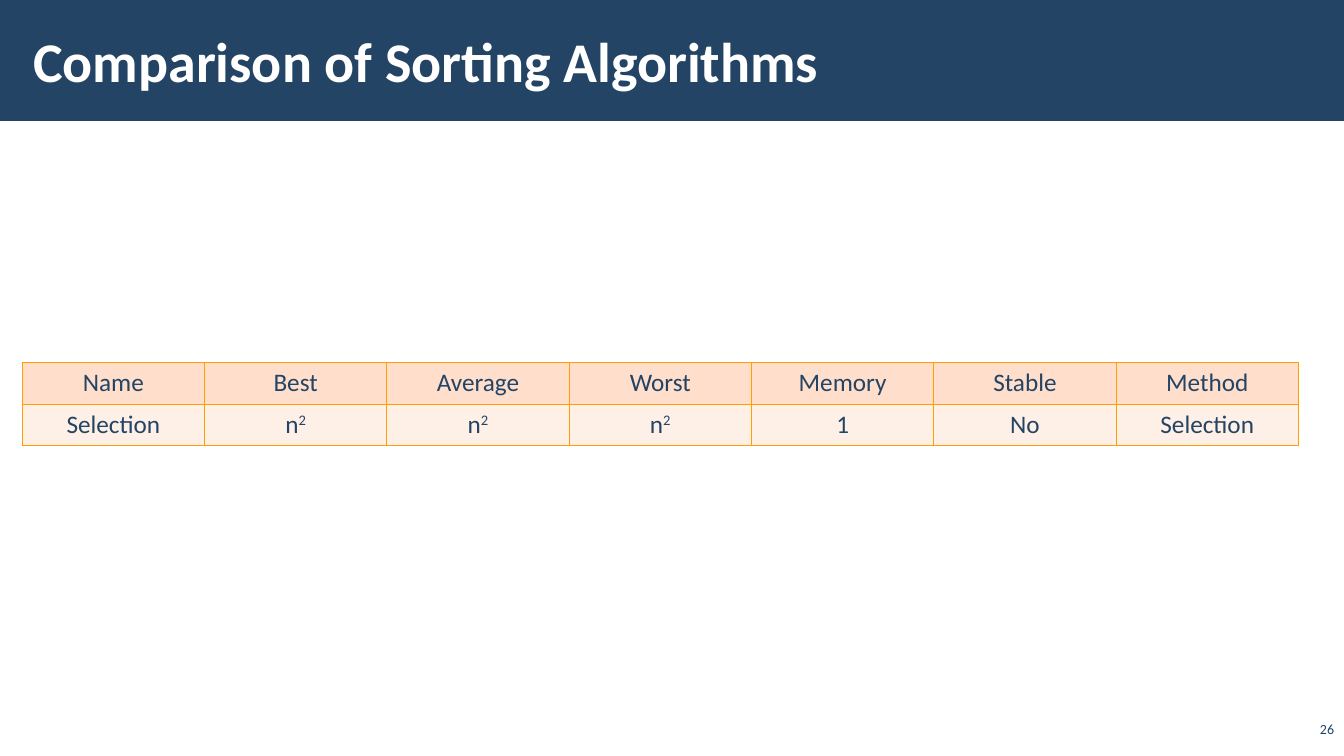
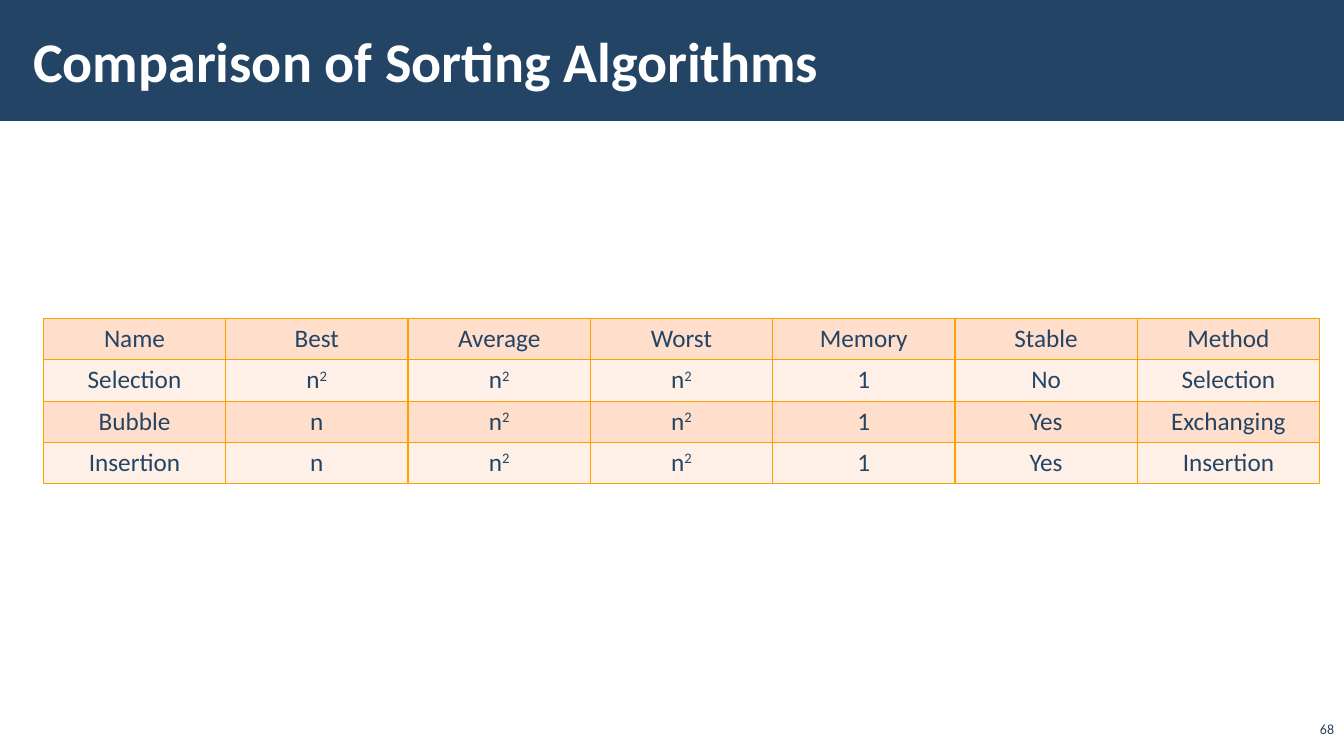
from lxml import etree
from pptx import Presentation
from pptx import util as u
from pptx.dml.color import RGBColor
from pptx.enum import shapes, text
from pptx.oxml import ns

COLORS = {
    "navy": "234465",
    "white": "FFFFFF",
    "peach": "FFDFCC",
    "pale_peach": "FFF0E7",
    "amber": "FFA000",
}
FONT = "Calibri"
TITLE_ONLY = 5
SLIDE_WIDTH, SLIDE_HEIGHT = u.Inches(13.33), u.Inches(7.5)
TABLE_WIDTH, ROW_HEIGHT = 12.66, 0.41

HEADER = ["Name", "Best", "Average", "Worst", "Memory", "Stable", "Method"]
SELECTION = ["Selection", "n^2", "n^2", "n^2", "1", "No", "Selection"]
BUBBLE = ["Bubble", "n", "n^2", "n^2", "1", "Yes", "Exchanging"]
INSERTION = ["Insertion", "n", "n^2", "n^2", "1", "Yes", "Insertion"]


def rgb(name):
    return RGBColor.from_string(COLORS[name])


def write_text(frame, content, size, color="navy", bold=False, align=text.PP_ALIGN.LEFT):
    """Fill the first paragraph; whatever follows a ^ is superscript."""
    paragraph = frame.paragraphs[0]
    paragraph.alignment = align
    for index, part in enumerate(content.split("^")):
        run = paragraph.add_run()
        run.text = part
        run.font.name = FONT
        run.font.size = u.Pt(size)
        run.font.bold = bold
        run.font.color.rgb = rgb(color)
        if index:
            run.font._element.set("baseline", "30000")


def set_borders(cell, color, width):
    properties = cell._tc.get_or_add_tcPr()
    for index, side in enumerate(("lnL", "lnR", "lnT", "lnB")):
        line = etree.Element(ns.qn(f"a:{side}"), w=str(u.Pt(width)))
        fill = etree.SubElement(line, ns.qn("a:solidFill"))
        etree.SubElement(fill, ns.qn("a:srgbClr"), val=COLORS[color])
        properties.insert(index, line)


class Deck:
    def __init__(self):
        self.presentation = Presentation()
        self.presentation.slide_width = SLIDE_WIDTH
        self.presentation.slide_height = SLIDE_HEIGHT
        self.slide = None

    def add_slide(self, title, number):
        layout = self.presentation.slide_layouts[TITLE_ONLY]
        self.slide = self.presentation.slides.add_slide(layout)
        self.add_band()
        self.add_title(title)
        self.add_number(number)

    def add_band(self):
        band = self.slide.shapes.add_shape(
            shapes.MSO_SHAPE.RECTANGLE, 0, 0, SLIDE_WIDTH, u.Inches(1.2))
        band.shadow.inherit = False
        band.fill.solid()
        band.fill.fore_color.rgb = rgb("navy")
        band.line.fill.background()
        # The band goes behind the title placeholder.
        self.slide.shapes.title._element.addprevious(band._element)

    def add_title(self, content):
        title = self.slide.shapes.title
        title.left, title.top = u.Inches(0.21), u.Inches(0.11)
        title.width, title.height = u.Inches(10.63), u.Inches(0.97)
        frame = title.text_frame
        frame.auto_size = text.MSO_AUTO_SIZE.NONE
        frame.vertical_anchor = text.MSO_ANCHOR.MIDDLE
        frame.margin_left = frame.margin_right = u.Inches(0.12)
        frame.margin_top = frame.margin_bottom = u.Inches(0.04)
        write_text(frame, content, size=40, color="white", bold=True)

    def add_number(self, number):
        box = self.slide.shapes.add_textbox(
            u.Inches(12.86), u.Inches(7.14), u.Inches(0.47), u.Inches(0.22))
        frame = box.text_frame
        frame.word_wrap = True
        frame.vertical_anchor = text.MSO_ANCHOR.BOTTOM
        write_text(frame, str(number), size=10, align=text.PP_ALIGN.RIGHT)

    def add_table(self, rows, left, top):
        table = self.slide.shapes.add_table(
            len(rows), len(rows[0]), u.Inches(left), u.Inches(top),
            u.Inches(TABLE_WIDTH), u.Inches(ROW_HEIGHT * len(rows))).table
        for row_index, row in enumerate(rows):
            for column_index, content in enumerate(row):
                cell = table.cell(row_index, column_index)
                cell.fill.solid()
                cell.fill.fore_color.rgb = rgb("pale_peach" if row_index % 2 else "peach")
                set_borders(cell, "amber", width=1)
                write_text(cell.text_frame, content, size=18, align=text.PP_ALIGN.CENTER)


def main():
    deck = Deck()
    title = "Comparison of Sorting Algorithms"

    deck.add_slide(title, 26)
    deck.add_table([HEADER, SELECTION], left=0.22, top=3.6)

    deck.add_slide(title, 68)
    deck.add_table([HEADER, SELECTION, BUBBLE, INSERTION], left=0.43, top=3.16)

    deck.presentation.save("out.pptx")


if __name__ == "__main__":
    main()
